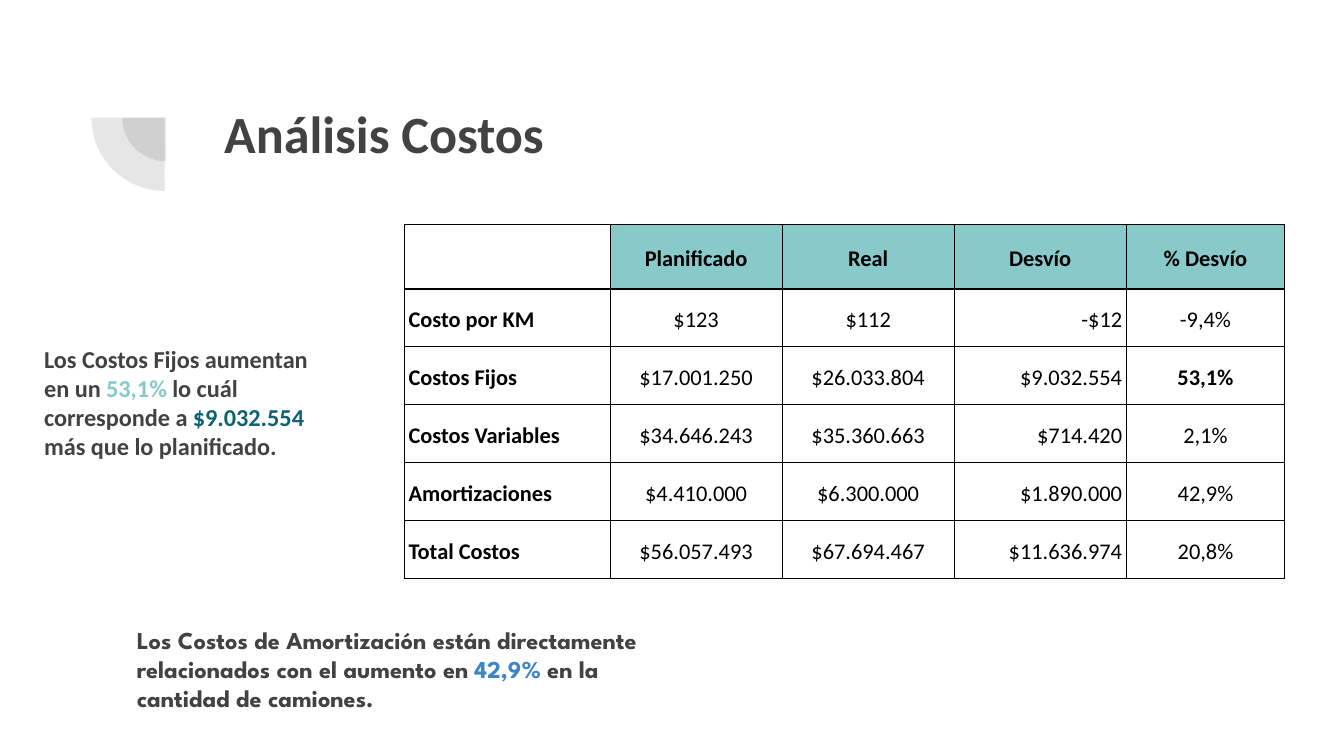
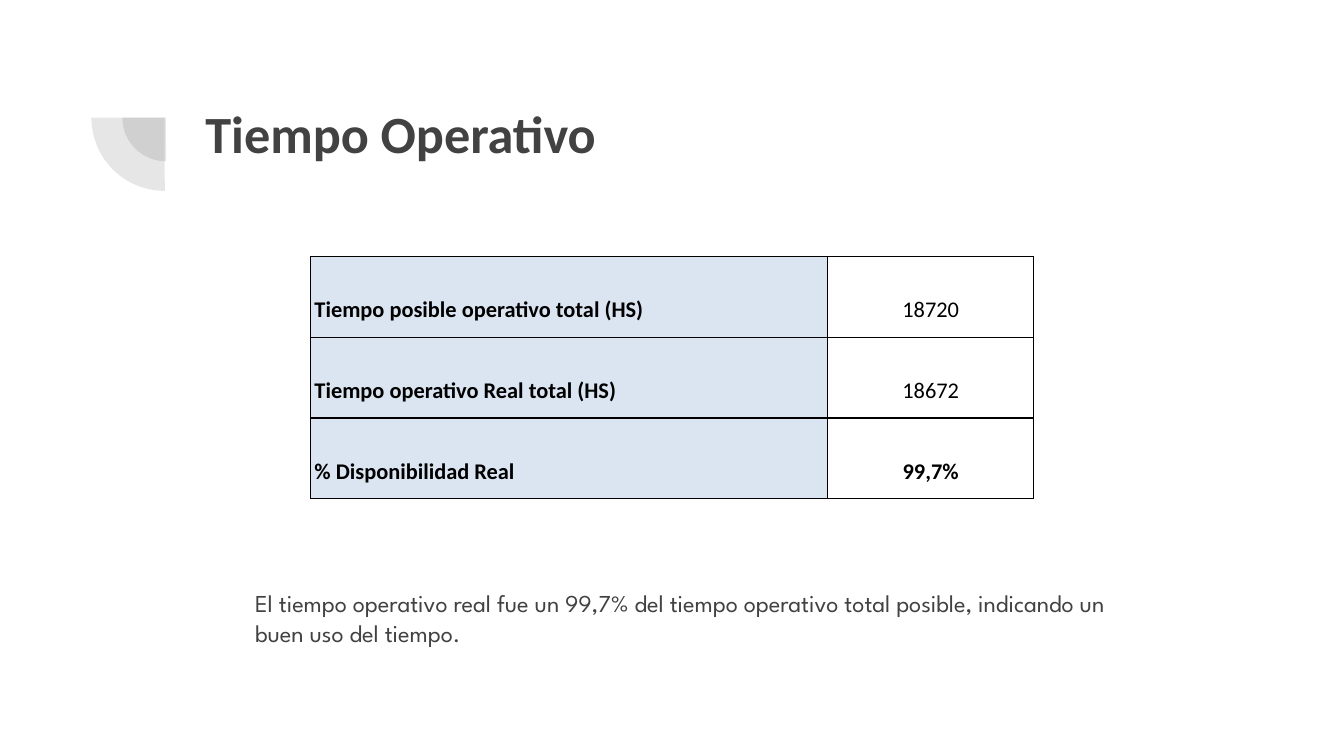
from lxml import etree
from pptx import Presentation
from pptx import util as u
from pptx.dml.color import RGBColor
from pptx.enum import shapes, text
from pptx.oxml.ns import qn

GRAY, TEAL, DARK_TEAL = "424242", "88C9CA", "0B6374"
BLUE, PALE_BLUE, BLACK, WHITE = "3D85C6", "DBE5F1", "000000", "FFFFFF"
BODY, DISPLAY = "Calibri", "League Spartan"
LEFT, CENTER, RIGHT = text.PP_ALIGN.LEFT, text.PP_ALIGN.CENTER, text.PP_ALIGN.RIGHT
MIDDLE, BOTTOM = text.MSO_ANCHOR.MIDDLE, text.MSO_ANCHOR.BOTTOM


def rgb(color):
    return RGBColor.from_string(color)


def add_run(p, content, size, font, color, bold):
    r = p.add_run()
    r.text = content
    r.font.size = u.Pt(size)
    r.font.name = font
    r.font.bold = bold
    r.font.color.rgb = rgb(color)


# Content: tables hold (text, bold, align, anchor, fill) cells
cost_rows = [
    ["", "Planificado", "Real", "Desvío", "% Desvío"],
    ["Costo por KM", "$123", "$112", "-$12", "-9,4%"],
    ["Costos Fijos", "$17.001.250", "$26.033.804", "$9.032.554", "53,1%"],
    ["Costos Variables", "$34.646.243", "$35.360.663", "$714.420", "2,1%"],
    ["Amortizaciones", "$4.410.000", "$6.300.000", "$1.890.000", "42,9%"],
    ["Total Costos", "$56.057.493", "$67.694.467", "$11.636.974", "20,8%"],
]
cost_aligns = [LEFT, CENTER, CENTER, RIGHT, CENTER]
cost_cells = [[(t, True, CENTER, MIDDLE, TEAL if t else None) for t in cost_rows[0]]]
for row in cost_rows[1:]:
    cost_cells.append([
        (t, j == 0 or t == "53,1%", cost_aligns[j], MIDDLE if j == 4 else BOTTOM, None)
        for j, t in enumerate(row)])

time_rows = [
    ("Tiempo posible operativo total (HS)", "18720"),
    ("Tiempo operativo Real total (HS)", "18672"),
    ("% Disponibilidad Real", "99,7%"),
]
time_cells = [[(label, True, LEFT, BOTTOM, PALE_BLUE),
               (value, value.endswith("%"), CENTER, BOTTOM, None)]
              for label, value in time_rows]

# Each text: box, size, font, bold, runs
slides = [
    dict(
        texts=[
            ((1.57, 0.65, 7.69, 0.83), 28, BODY, True, [("Análisis Costos", GRAY)]),
            ((0.23, 2.46, 2.35, 1.23), 13, BODY, True, [
                ("Los Costos Fijos aumentan en un ", GRAY), ("53,1%", TEAL),
                (" lo cuál corresponde a ", GRAY), ("$9.032.554 ", DARK_TEAL),
                ("más que lo planificado.", GRAY)]),
            ((0.92, 4.55, 4.35, 0.93), 13, DISPLAY, True, [
                ("Los Costos de Amortización están directamente relacionados "
                 "con el aumento en ", GRAY),
                ("42,9%", BLUE), (" en la cantidad de camiones.", GRAY)]),
        ],
        at=(3.01, 1.67), cols=[1.53, 1.28, 1.28, 1.28, 1.18],
        heights=[0.48] + [0.43] * 5, cells=cost_cells),
    dict(
        texts=[
            ((1.43, 0.65, 7.69, 1.09), 28, BODY, True, [("Tiempo Operativo", GRAY)]),
            ((1.8, 4.28, 6.87, 0.86), 13, DISPLAY, False, [
                ("El tiempo operativo real fue un 99,7% del tiempo operativo total "
                 "posible, indicando un buen uso del tiempo.", GRAY)]),
        ],
        at=(2.31, 1.91), cols=[3.85, 1.53], heights=[0.6] * 3, cells=time_cells),
]

# 16:9 page
prs = Presentation()
prs.slide_width = u.Inches(10)
prs.slide_height = prs.slide_width * 9 // 16

for page in slides:
    s = prs.slides.add_slide(prs.slide_layouts[6])
    s.background.fill.solid()
    s.background.fill.fore_color.rgb = rgb(WHITE)

    # Quarter-circle ornament beside the title
    for x, y, side in [(0.91, 0.55, 0.65), (0.68, 0.33, 1.09)]:
        sp = s.shapes.add_shape(shapes.MSO_SHAPE.PIE, u.Inches(x), u.Inches(y),
                                u.Inches(side), u.Inches(side))
        sp.adjustments[0], sp.adjustments[1] = 107.93, 162
        sp.rotation = 270
        sp.shadow.inherit = False
        sp.line.fill.background()
        sp.fill.solid()
        sp.fill.fore_color.rgb = rgb(GRAY)
        clr = sp.fill._xPr.find(qn("a:solidFill"))[0]
        etree.SubElement(clr, qn("a:alpha"), val="13000")

    # Title and remarks
    for box, size, font, bold, runs in page["texts"]:
        tf = s.shapes.add_textbox(*map(u.Inches, box)).text_frame
        tf.word_wrap = True
        tf.margin_left = tf.margin_right = u.Inches(0.1)
        tf.margin_top = tf.margin_bottom = u.Inches(0.1)
        for content, color in runs:
            add_run(tf.paragraphs[0], content, size, font, color, bold)

    # Table
    cols, heights = page["cols"], page["heights"]
    left, top = page["at"]
    tbl = s.shapes.add_table(len(heights), len(cols), u.Inches(left), u.Inches(top),
                             u.Inches(sum(cols)), u.Inches(sum(heights))).table
    tbl.first_row = tbl.horz_banding = False
    for col, width in zip(tbl.columns, cols):
        col.width = u.Inches(width)
    for i, row in enumerate(page["cells"]):
        tbl.rows[i].height = u.Inches(heights[i])
        for j, (content, bold, align, anchor, fill) in enumerate(row):
            cell = tbl.cell(i, j)
            cell.margin_left = cell.margin_right = u.Inches(0.03)
            cell.margin_top = cell.margin_bottom = u.Inches(0.1)
            cell.vertical_anchor = anchor
            tcPr = cell._tc.get_or_add_tcPr()
            for edge in ("a:lnL", "a:lnR", "a:lnT", "a:lnB"):
                ln = etree.SubElement(tcPr, qn(edge), w=str(u.Pt(0.75)))
                solid = etree.SubElement(ln, qn("a:solidFill"))
                etree.SubElement(solid, qn("a:srgbClr"), val=BLACK)
            if fill:
                cell.fill.solid()
                cell.fill.fore_color.rgb = rgb(fill)
            else:
                cell.fill.background()
            p = cell.text_frame.paragraphs[0]
            p.alignment = align
            if content:
                p.line_spacing = 1.15
                add_run(p, content, 12, BODY, BLACK, bold)
            else:
                p.font.size = u.Pt(12)

prs.save("out.pptx")
